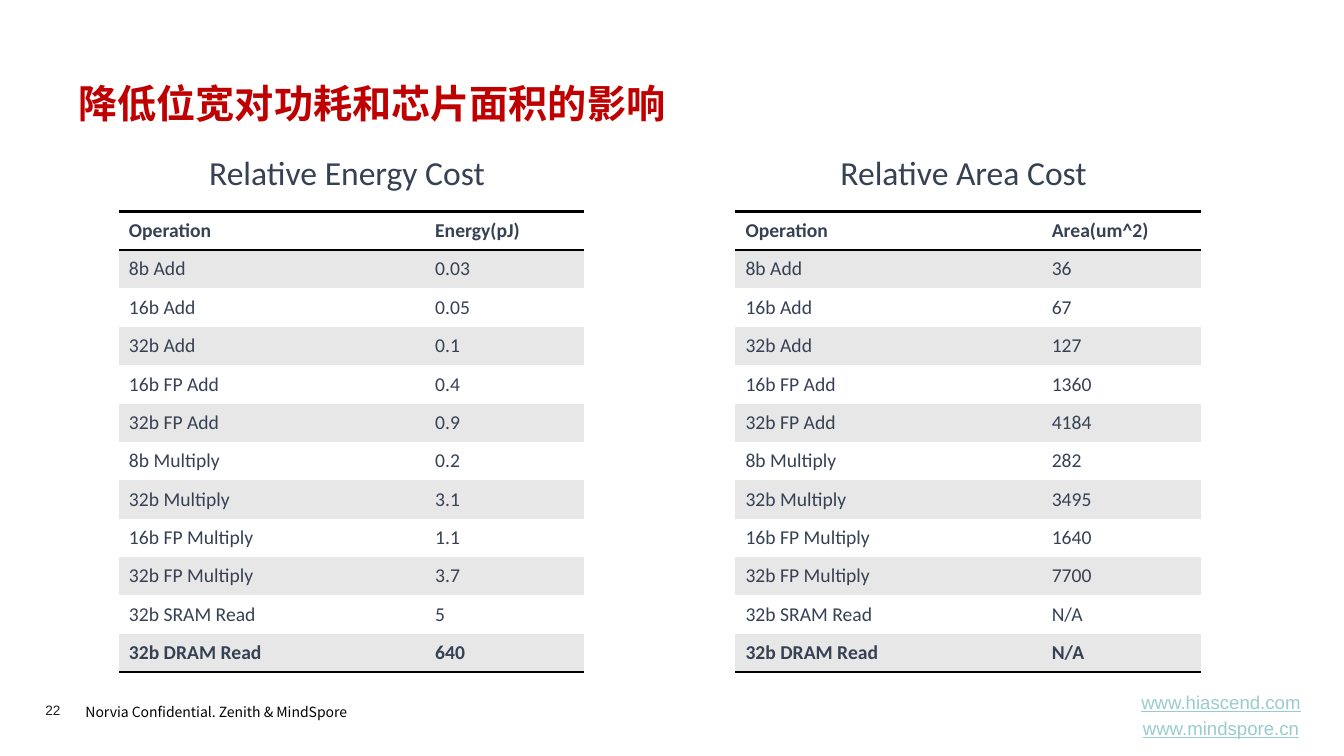
import pptx
import pptx.util
import pptx.dml.color
import pptx.enum.text
import pptx.oxml

RGBColor = pptx.dml.color.RGBColor
Pt = pptx.util.Pt
ALIGN = pptx.enum.text.PP_ALIGN
ANCHOR = pptx.enum.text.MSO_ANCHOR

RED = RGBColor(0xC0, 0x00, 0x00)
SLATE = RGBColor(0x37, 0x41, 0x54)
BLACK = RGBColor(0x00, 0x00, 0x00)
INK = RGBColor(0x1D, 0x1D, 0x1B)
AQUA = RGBColor(0x99, 0xCC, 0xCC)
WHITE = RGBColor(0xFF, 0xFF, 0xFF)
GREY = RGBColor(0xE7, 0xE7, 0xE7)

CELL = pptx.util.Inches(0.1)
COLUMNS, ROWS = 133.4, 75
NO_STYLE = "{2D5ABB26-0587-4C30-8999-92F81FD0307C}"
NS = 'xmlns:a="http://schemas.openxmlformats.org/drawingml/2006/main"'

OPERATIONS = ["8b Add", "16b Add", "32b Add", "16b FP Add", "32b FP Add",
              "8b Multiply", "32b Multiply", "16b FP Multiply",
              "32b FP Multiply", "32b SRAM Read", "32b DRAM Read"]
ENERGY = ["0.03", "0.05", "0.1", "0.4", "0.9", "0.2", "3.1", "1.1", "3.7",
          "5", "640"]
AREA = ["36", "67", "127", "1360", "4184", "282", "3495", "1640", "7700",
        "N/A", "N/A"]


def grid(*cells):
    return [round(n * CELL) for n in cells]


class Deck:
    body_font = "Calibri"
    cjk_font = "Noto Sans CJK SC"
    table_size = 14
    rule_width = Pt(2)

    def __init__(self):
        self.prs = pptx.Presentation()
        self.prs.slide_width, self.prs.slide_height = grid(COLUMNS, ROWS)
        self.slide = self.prs.slides.add_slide(self.prs.slide_layouts[6])

    def style(self, p, size, color, font, bold=False, underline=False):
        for r in p.runs:
            r.font.size = Pt(size)
            r.font.name = font
            r.font.bold = bold
            r.font.underline = underline
            r.font.color.rgb = color
            latin = r.font._element.find(pptx.oxml.ns.qn("a:latin"))
            latin.addnext(pptx.oxml.parse_xml(
                f'<a:ea {NS} typeface="{self.cjk_font}"/>'))

    def text(self, box, text, size, color, font=body_font, align=ALIGN.LEFT,
             anchor=ANCHOR.TOP, inset=True, spacing=1.0, gap=0, **look):
        tf = self.slide.shapes.add_textbox(*grid(*box)).text_frame
        tf.word_wrap = True
        tf.vertical_anchor = anchor
        if not inset:
            tf.margin_left = tf.margin_right = 0
            tf.margin_top = tf.margin_bottom = 0
        tf.text = text
        for i, p in enumerate(tf.paragraphs):
            p.alignment = align
            p.line_spacing = spacing
            p.space_before = Pt(gap if i else 0)
            self.style(p, size, color, font, **look)

    def rule(self, cell, side):
        cell._tc.get_or_add_tcPr().insert(0, pptx.oxml.parse_xml(
            f'<a:ln{side} {NS} w="{self.rule_width}"><a:solidFill>'
            f'<a:srgbClr val="{BLACK}"/></a:solidFill></a:ln{side}>'))

    def table(self, left, top, widths, row_height, rows):
        last = len(rows) - 1
        box = grid(left, top, sum(widths), row_height * len(rows))
        table = self.slide.shapes.add_table(
            len(rows), len(widths), *box).table
        table.first_row = table.horz_banding = False
        table._tbl.tblPr.find(
            pptx.oxml.ns.qn("a:tableStyleId")).text = NO_STYLE
        for column, width in zip(table.columns, grid(*widths)):
            column.width = width
        for i, values in enumerate(rows):
            table.rows[i].height = grid(row_height)[0]
            for j, value in enumerate(values):
                cell = table.cell(i, j)
                cell.text = value
                cell.vertical_anchor = ANCHOR.MIDDLE
                cell.fill.solid()
                cell.fill.fore_color.rgb = GREY if i % 2 else WHITE
                self.style(cell.text_frame.paragraphs[0], self.table_size,
                           SLATE, self.body_font, bold=i in (0, last))
                if i in (0, last):
                    self.rule(cell, "B")
                if i == 0:
                    self.rule(cell, "T")

    def cost_panel(self, left, heading, unit, values):
        self.table(left, 21, (30.4, 15.8), 3.81,
                   [("Operation", unit), *zip(OPERATIONS, values)])
        self.text((left + 6.1, 13.9, 33.1, 6.4), heading, 24, SLATE,
                  align=ALIGN.CENTER, anchor=ANCHOR.MIDDLE)


def main():
    deck = Deck()
    deck.text((7.5, 69, 31.3, 2.9), "Norvia Confidential. Zenith & MindSpore",
              10, BLACK, "Noto Sans CJK SC", spacing=1.2)
    deck.text((4.5, 69.6, 5.5, 1.6), "22", 9.7, INK, "Arial", inset=False)
    deck.text((110.4, 68.8, 21.6, 4.3), "www.hiascend.com\nwww.mindspore.cn",
              13.3, AQUA, "Arial", align=ALIGN.CENTER, anchor=ANCHOR.MIDDLE,
              gap=2.7, underline=True)
    deck.text((6.8, 7.4, 119.9, 6.4), "降低位宽对功耗和芯片面积的影响",
              28, RED, "League Spartan", bold=True)
    deck.cost_panel(11.8, "Relative Energy Cost", "Energy(pJ)", ENERGY)
    deck.cost_panel(73, "Relative Area Cost", "Area(um^2)", AREA)
    deck.prs.save("out.pptx")


if __name__ == "__main__":
    main()
